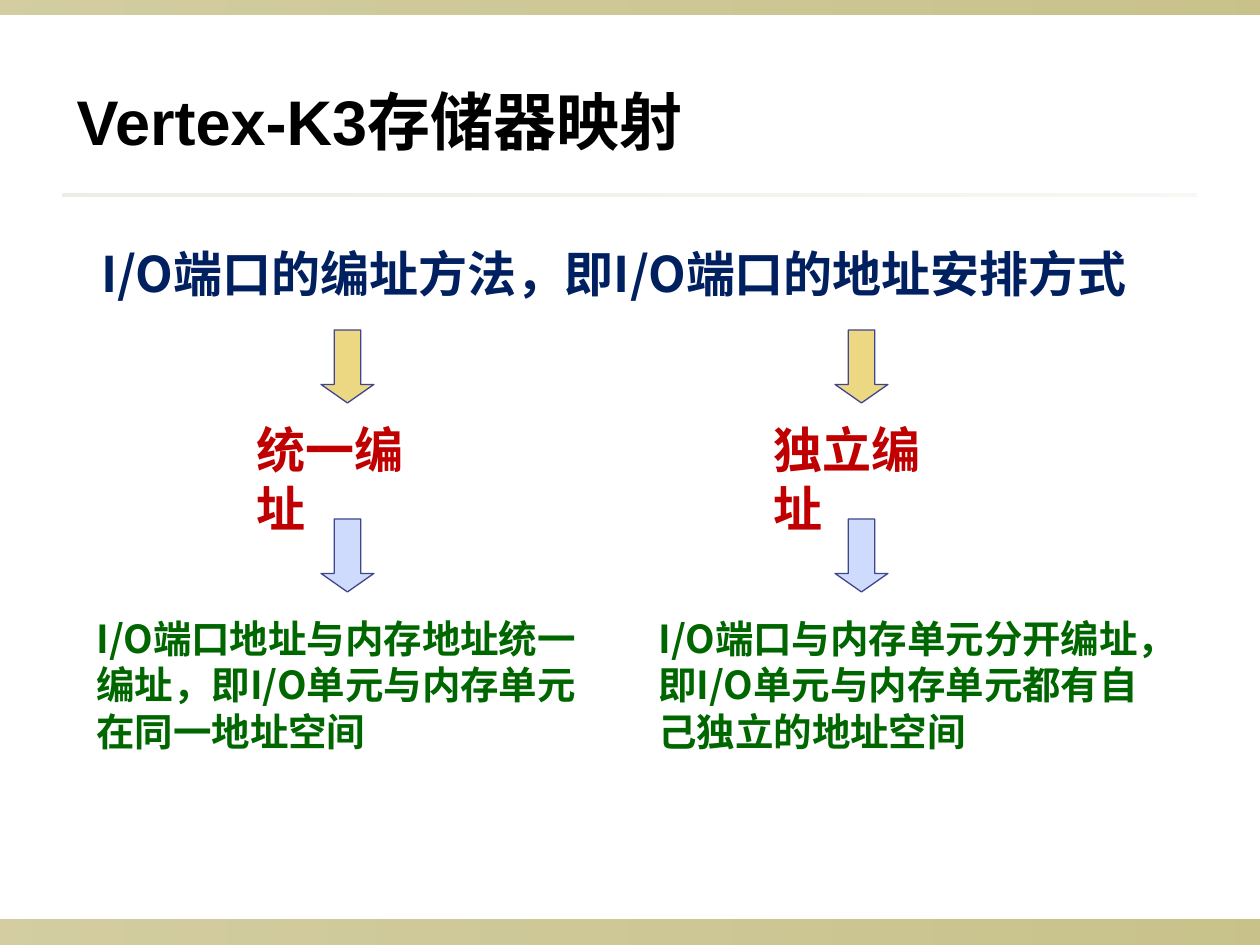
from dataclasses import dataclass

from lxml.etree import SubElement
from pptx import Presentation
from pptx.dml.color import RGBColor
from pptx.enum.shapes import MSO_SHAPE
from pptx.enum.text import MSO_ANCHOR, MSO_AUTO_SIZE, PP_ALIGN
from pptx.oxml.ns import qn
from pptx.util import Emu, Pt


@dataclass(frozen=True)
class Theme:
    heading_font: str = "Arial"
    text_font: str = "Noto Sans CJK SC"
    label_font: str = "Roboto"
    title_size: int = 36
    lead_size: int = 28
    body_size: int = 22
    title: str = "000000"
    lead: str = "002060"
    label: str = "C00000"
    body: str = "006600"
    bar: str = "918415"
    rule: str = "DCD9CC"
    outline: str = "40458C"
    upper_arrow: str = "ECD882"
    lower_arrow: str = "CFDBFD"


THEME = Theme()
PAGE_WIDTH, PAGE_HEIGHT = 1260, 945
ARROW_WIDTH, ARROW_HEIGHT = 53, 73


def px(length):
    return Emu(round(length * 914400 / 126))


def frame(*lengths):
    return [px(length) for length in lengths]


def write_text(box, text, *, size, color, font, wrap=True):
    text_frame = box.text_frame
    text_frame.word_wrap = wrap
    text_frame.auto_size = MSO_AUTO_SIZE.SHAPE_TO_FIT_TEXT
    text_frame.vertical_anchor = MSO_ANCHOR.TOP
    para = text_frame.paragraphs[0]
    para.alignment = PP_ALIGN.LEFT
    span = para.add_run()
    span.text = text
    span.font.name = font
    span.font.size = Pt(size)
    span.font.bold = True
    span.font.color.rgb = RGBColor.from_string(color)
    SubElement(span.font._element, qn("a:ea"), typeface=font)


def add_title(page, text):
    title = page.shapes.title
    title.left, title.top, title.width, title.height = frame(64, 76, 973, 88)
    write_text(title, text, size=THEME.title_size, color=THEME.title, font=THEME.heading_font)


def add_text(page, place, text, **style):
    write_text(page.shapes.add_textbox(*frame(*place)), text, **style)


def add_band(page, place, color, opacities):
    band = page.shapes.add_shape(MSO_SHAPE.RECTANGLE, *frame(*place))
    band.shadow.inherit = False
    band.line.fill.background()
    band.fill.gradient()
    band.fill.gradient_angle = 0
    for stop in band.fill.gradient_stops:
        stop.color.rgb = RGBColor.from_string(color)
    colors = band.element.spPr.iter(qn("a:srgbClr"))
    for element, opacity in zip(list(colors), opacities):
        SubElement(element, qn("a:alpha"), val=str(opacity * 1000))


def add_down_arrow(page, left, top, color):
    arrow = page.shapes.add_shape(
        MSO_SHAPE.DOWN_ARROW, *frame(left, top, ARROW_WIDTH, ARROW_HEIGHT))
    arrow.adjustments[0] = 0.5
    arrow.adjustments[1] = 0.35
    arrow.shadow.inherit = False
    arrow.fill.solid()
    arrow.fill.fore_color.rgb = RGBColor.from_string(color)
    arrow.line.color.rgb = RGBColor.from_string(THEME.outline)
    arrow.line.width = Pt(0.75)


def add_method(page, name, description, *, arrow_left, name_left, body_left, body_width):
    add_text(page, (name_left, 413, 220, 72), name, size=THEME.lead_size,
             color=THEME.label, font=THEME.label_font, wrap=False)
    add_text(page, (body_left, 609, body_width, 151), description,
             size=THEME.body_size, color=THEME.body, font=THEME.text_font)
    for top, color in ((330, THEME.upper_arrow), (519, THEME.lower_arrow)):
        add_down_arrow(page, arrow_left, top, color)


def main():
    deck = Presentation()
    deck.slide_width, deck.slide_height = frame(PAGE_WIDTH, PAGE_HEIGHT)
    page = deck.slides.add_slide(deck.slide_layouts[5])

    add_band(page, (0, 920, PAGE_WIDTH, 25), THEME.bar, (40, 50))
    add_band(page, (0, 0, PAGE_WIDTH, 15), THEME.bar, (40, 50))
    add_band(page, (63, 194, 1134, 3), THEME.rule, (50, 20))

    add_title(page, "Vertex-K3存储器映射")
    add_text(page, (89, 237, 1097, 72), "I/O端口的编址方法，即I/O端口的地址安排方式",
             size=THEME.lead_size, color=THEME.lead, font=THEME.text_font, wrap=False)

    add_method(page, "统一编址", "I/O端口地址与内存地址统一编址，即I/O单元与内存单元在同一地址空间",
               arrow_left=321, name_left=244, body_left=84, body_width=520)
    add_method(page, "独立编址", "I/O端口与内存单元分开编址，即I/O单元与内存单元都有自己独立的地址空间",
               arrow_left=835, name_left=761, body_left=646, body_width=515)

    deck.save("out.pptx")


if __name__ == "__main__":
    main()
